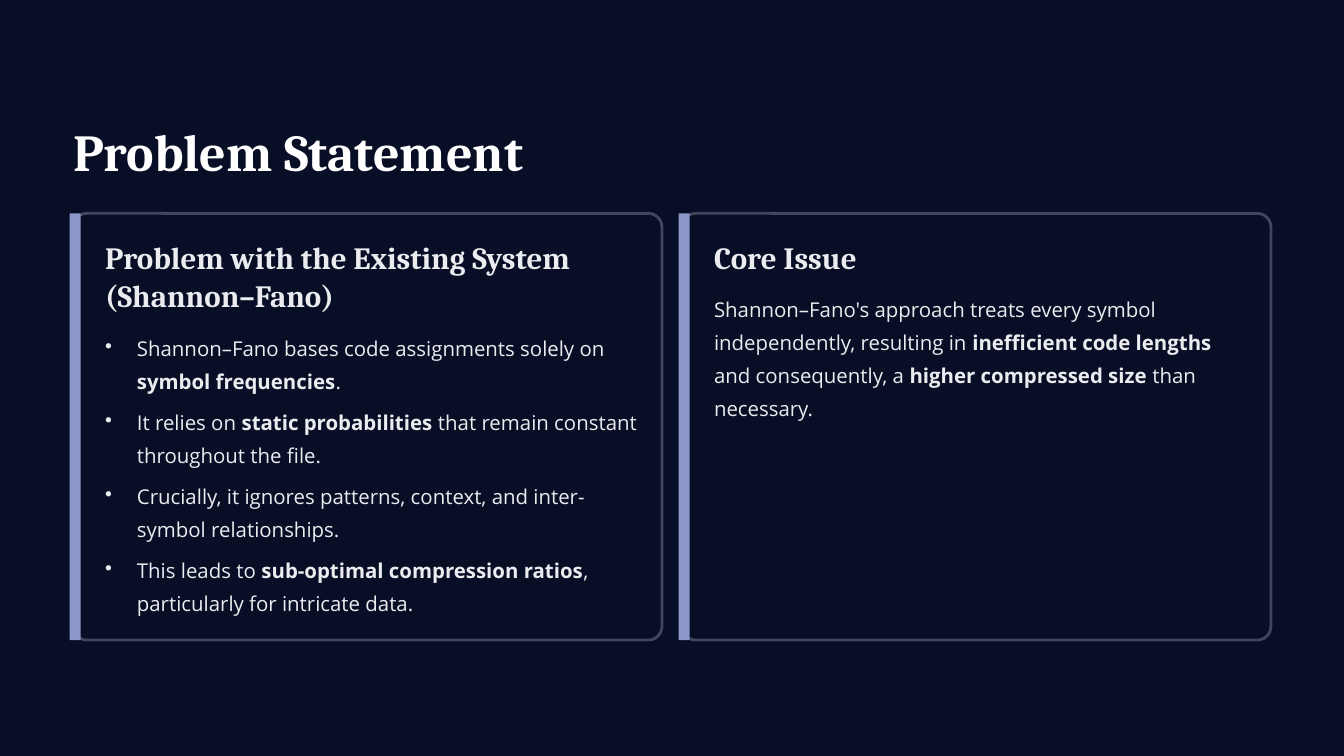
from dataclasses import dataclass

from pptx import Presentation
from pptx.dml.color import RGBColor
from pptx.enum.shapes import MSO_SHAPE as Shape
from pptx.enum.text import MSO_ANCHOR as Anchor, MSO_AUTO_SIZE as AutoSize, PP_ALIGN as Align
from pptx.oxml.ns import qn
from pptx.slide import Slide
from pptx.text.text import TextFrame
from pptx.util import Inches, Pt
from lxml.etree import SubElement

NAVY = RGBColor(0x08, 0x0E, 0x26)
SLATE = RGBColor(0x40, 0x46, 0x5E)
PERIWINKLE = RGBColor(0x8C, 0x98, 0xCA)
MIST = RGBColor(0xEB, 0xEC, 0xEF)
WHITE = RGBColor(0xFF, 0xFF, 0xFF)

CARD_LEFT, CARD_TOP, CARD_WIDTH, CARD_HEIGHT = 0.87, 2.54, 7.01, 5.08
CARD_PITCH = 7.25
BAR_WIDTH = 0.13
TEXT_WIDTH = 6.35
BULLET_INDENT = 0.38
BOLD_MARK = "**"


@dataclass(frozen=True)
class Style:
    font: dict
    line: float
    gap: float = 0


@dataclass(frozen=True)
class Card:
    heading: str
    heading_height: float
    body: list[str]
    body_top: float
    body_height: float
    bulleted: bool = False


TITLE = Style({"name": "Cambria", "size": Pt(44.5), "bold": True}, 55.5)
HEADING = Style({"name": "Cambria", "size": Pt(26.5), "bold": True}, 33)
BODY = Style({"name": "Open Sans", "size": Pt(17.5), "bold": False}, 28.5, 6.4)

CARDS = [
    Card(
        "Problem with the Existing System (Shannon–Fano)", 0.93,
        [
            "Shannon–Fano bases code assignments solely on **symbol frequencies**.",
            "It relies on **static probabilities** that remain constant throughout the file.",
            "Crucially, it ignores patterns, context, and inter-symbol relationships.",
            "This leads to **sub-optimal compression ratios**, particularly for intricate data.",
        ],
        3.9, 3.43, bulleted=True,
    ),
    Card(
        "Core Issue", 0.47,
        [
            "Shannon–Fano's approach treats every symbol independently, resulting in "
            "**inefficient code lengths** and consequently, a **higher compressed size** "
            "than necessary.",
        ],
        3.43, 1.59,
    ),
]


def write(tf: TextFrame, lines: list[str], style: Style, color: RGBColor,
          wrap: bool = True, bulleted: bool = False) -> None:
    frame = {"word_wrap": wrap, "auto_size": AutoSize.NONE, "vertical_anchor": Anchor.TOP,
             "margin_left": 0, "margin_top": 0, "margin_right": 0, "margin_bottom": 0}
    for name, value in frame.items():
        setattr(tf, name, value)
    for i, line in enumerate(lines):
        p = tf.paragraphs[0] if i == 0 else tf.add_paragraph()
        if bulleted:
            pPr = p._p.get_or_add_pPr()
            pPr.set("marL", str(Inches(BULLET_INDENT)))
            pPr.set("indent", str(-Inches(BULLET_INDENT)))
            SubElement(pPr, qn("a:buChar")).set("char", "•")
        p.alignment = Align.LEFT
        p.line_spacing = Pt(style.line)
        p.space_before = Pt(style.gap if i else 0)
        for j, part in enumerate(line.split(BOLD_MARK)):
            r = p.add_run()
            r.text = part
            for name, value in style.font.items():
                setattr(r.font, name, value)
            if j % 2:
                r.font.bold = True
            r.font.color.rgb = color


def add_text(s: Slide, left: float, top: float, height: float, lines: list[str],
             style: Style, bulleted: bool = False) -> None:
    box = s.shapes.add_textbox(Inches(left), Inches(top), Inches(TEXT_WIDTH), Inches(height))
    write(box.text_frame, lines, style, MIST, bulleted=bulleted)


def add_panel(s: Slide, left: float, width: float, corner: float,
              fill: RGBColor, outline: RGBColor | None = None) -> None:
    sp = s.shapes.add_shape(Shape.ROUNDED_RECTANGLE, Inches(left), Inches(CARD_TOP),
                            Inches(width), Inches(CARD_HEIGHT))
    sp.adjustments[0] = corner
    sp.shadow.inherit = False
    sp.fill.solid()
    sp.fill.fore_color.rgb = fill
    if outline is None:
        sp.line.fill.background()
    else:
        sp.line.color.rgb = outline
        sp.line.width = Pt(2.4)


def add_card(s: Slide, card: Card, left: float) -> None:
    text_left = left + 0.38
    add_panel(s, left, CARD_WIDTH, 0.032, NAVY, SLATE)
    add_panel(s, left - 0.04, BAR_WIDTH, 0.075, PERIWINKLE)
    add_text(s, text_left, 2.82, card.heading_height, [card.heading], HEADING)
    add_text(s, text_left, card.body_top, card.body_height, card.body, BODY, card.bulleted)


def main() -> None:
    prs = Presentation()
    prs.slide_width, prs.slide_height = Inches(16), Inches(9)
    s = prs.slides.add_slide(prs.slide_layouts[5])
    s.background.fill.solid()
    s.background.fill.fore_color.rgb = NAVY

    title = s.shapes.title
    place = {"left": 0.87, "top": 1.39, "width": 6.2, "height": 0.78}
    for name, value in place.items():
        setattr(title, name, Inches(value))
    write(title.text_frame, ["Problem Statement"], TITLE, WHITE, wrap=False)

    for i, card in enumerate(CARDS):
        add_card(s, card, CARD_LEFT + i * CARD_PITCH)

    prs.save("out.pptx")


if __name__ == "__main__":
    main()
